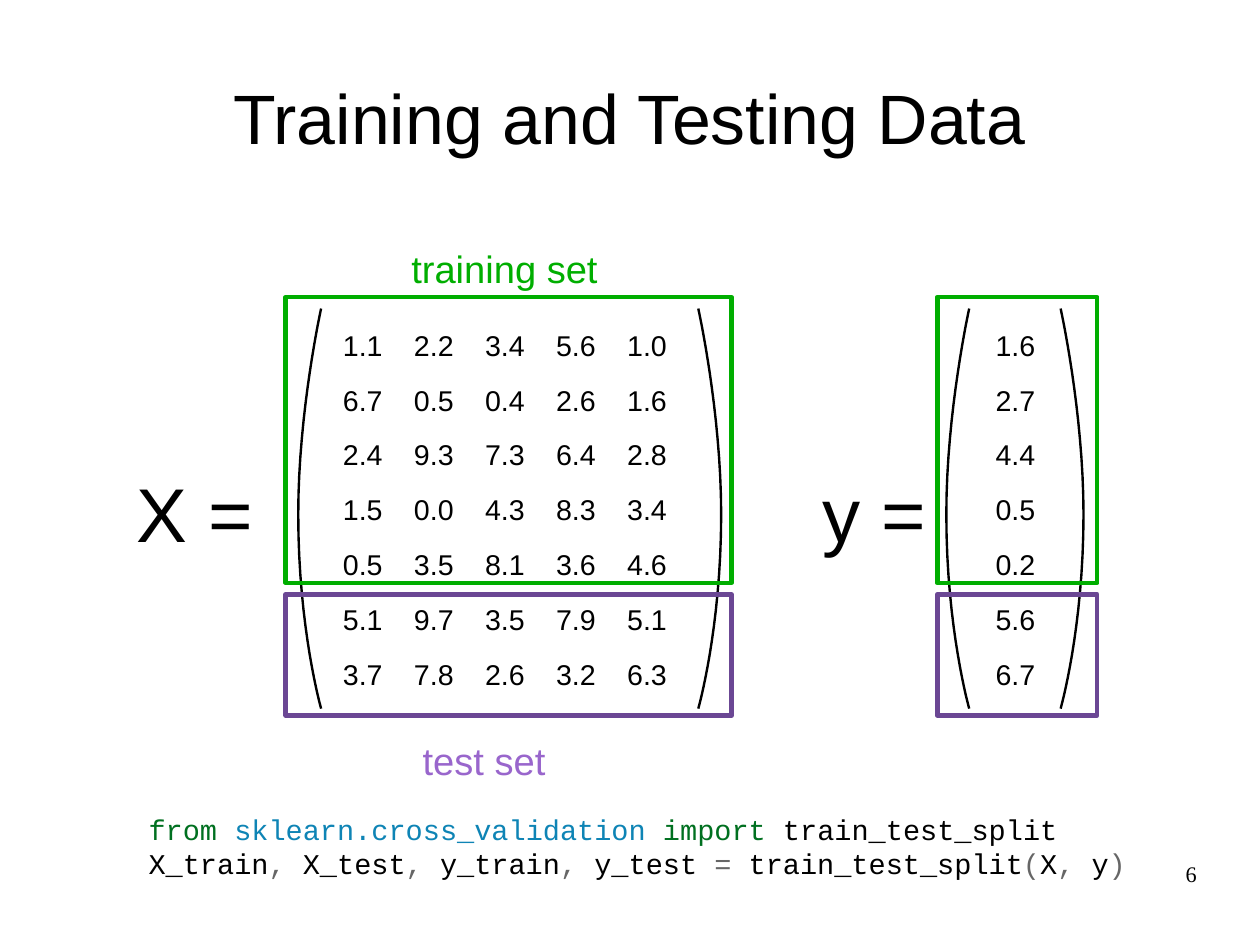
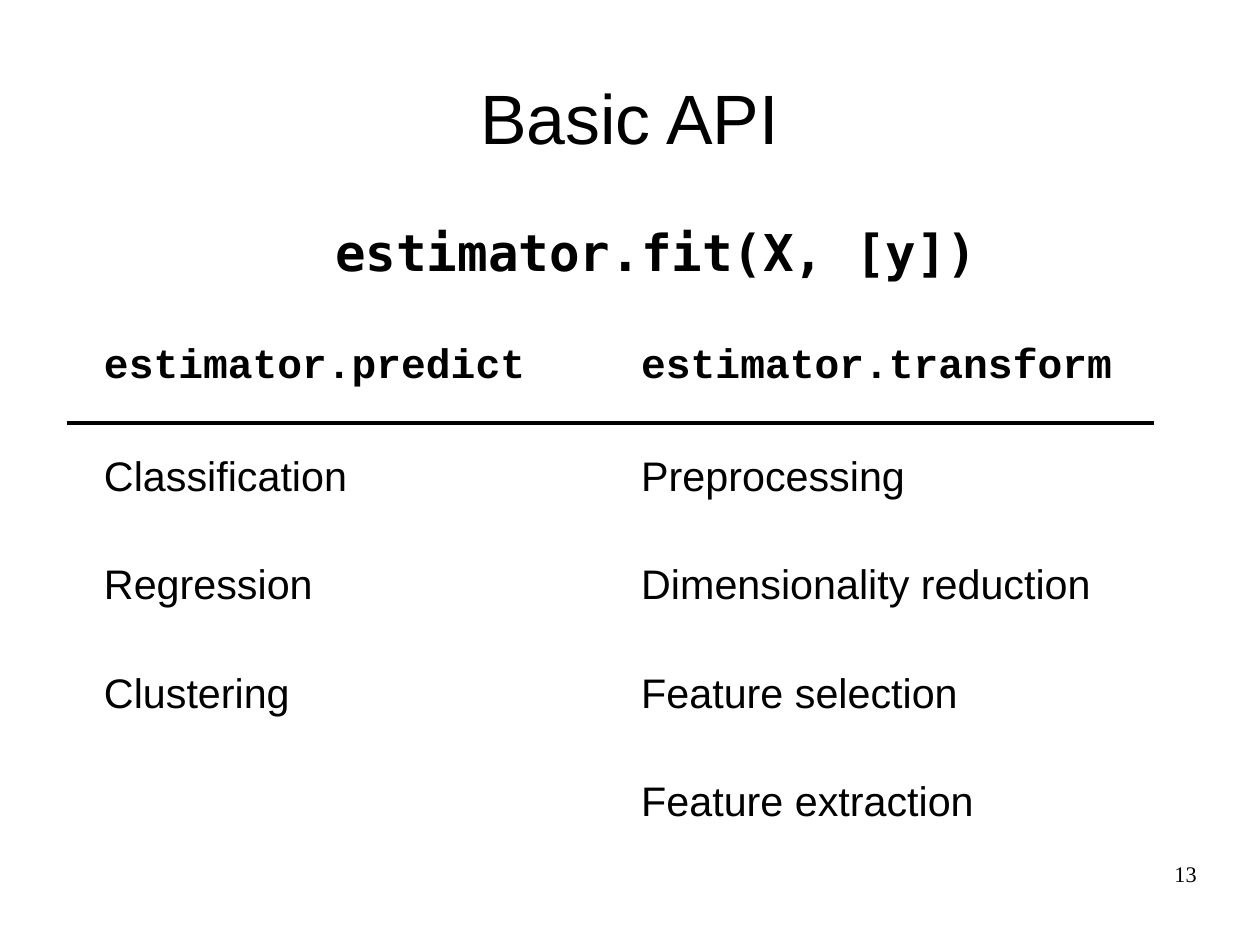
from lxml import etree
from pptx import Presentation
from pptx.dml.color import RGBColor
from pptx.enum.shapes import MSO_CONNECTOR, MSO_SHAPE
from pptx.enum.text import MSO_ANCHOR, PP_ALIGN
from pptx.oxml.ns import qn
from pptx.util import Inches, Pt

BLACK = RGBColor(0x00, 0x00, 0x00)
WHITE = RGBColor(0xFF, 0xFF, 0xFF)
TRAIN_GREEN = RGBColor(0x00, 0xAE, 0x00)
TEST_PURPLE = RGBColor(0x6B, 0x47, 0x94)
TEST_LABEL = RGBColor(0x99, 0x66, 0xCC)
KEYWORD = RGBColor(0x00, 0x70, 0x20)
MODULE = RGBColor(0x0E, 0x84, 0xB5)
OPERATOR = RGBColor(0x66, 0x66, 0x66)

SANS, MONO, WIDE_MONO, SERIF = "Arial", "Courier New", "DejaVu Sans Mono", "Times New Roman"
CM_PER_INCH = 2.54
PAGE_CM = (28, 21)
PADDING = (0.1, 0.05)
FRAME_WIDTH = 2.89

X_ROWS = [
    ("1.1", "2.2", "3.4", "5.6", "1.0"),
    ("6.7", "0.5", "0.4", "2.6", "1.6"),
    ("2.4", "9.3", "7.3", "6.4", "2.8"),
    ("1.5", "0.0", "4.3", "8.3", "3.4"),
    ("0.5", "3.5", "8.1", "3.6", "4.6"),
    ("5.1", "9.7", "3.5", "7.9", "5.1"),
    ("3.7", "7.8", "2.6", "3.2", "6.3"),
]
Y_ROWS = [("1.6",), ("2.7",), ("4.4",), ("0.5",), ("0.2",), ("5.6",), ("6.7",)]

MATRICES = [
    {"label": "X =", "label_at": (1.1, 4.03, 1.4, 0.85), "rows": X_ROWS,
     "table_left": 2.9, "table_width": 3.11,
     "parens": ((2.81, -0.2), (6.11, 0.2)), "frame": (2.5, 3.9)},
    {"label": "y =", "label_at": (7.1, 4.03, 1.29, 0.85), "rows": Y_ROWS,
     "table_left": 8.61, "table_width": 0.62,
     "parens": ((8.48, -0.2), (9.28, 0.2)), "frame": (8.2, 1.4)},
]
SETS = [
    ("training set", (3.5, 2.1, 2.3, 0.47), TRAIN_GREEN, TRAIN_GREEN, 2.6, 2.5),
    ("test set", (3.6, 6.4, 2.3, 0.47), TEST_LABEL, TEST_PURPLE, 5.2, 1.06),
]
CODE = [
    [("from ", KEYWORD), ("sklearn.cross_validation ", MODULE), ("import", KEYWORD),
     (" train_test_split", BLACK)],
    [("X_train", BLACK), (",", OPERATOR), (" X_test", BLACK), (",", OPERATOR),
     (" y_train", BLACK), (",", OPERATOR), (" y_test ", BLACK), ("=", OPERATOR),
     (" train_test_split", BLACK), ("(", OPERATOR), ("X", BLACK), (",", OPERATOR),
     (" y", BLACK), (")", OPERATOR)],
]

API_ROWS = [
    ("estimator.predict", "estimator.transform"),
    ("Classification", "Preprocessing"),
    ("Regression", "Dimensionality reduction"),
    ("Clustering", "Feature selection"),
    ("", "Feature extraction"),
]


def add_span(para, text, size, font=SANS, color=BLACK, bold=False):
    span = para.add_run()
    span.text = text
    span.font.size = Pt(size)
    span.font.name = font
    span.font.bold = bold
    span.font.color.rgb = color


def add_text(page, at, lines, size, font=SANS, bold=False, align=PP_ALIGN.LEFT,
             anchor=MSO_ANCHOR.TOP, padding=(0, 0), wrap=True):
    frame = page.shapes.add_textbox(*map(Inches, at)).text_frame
    frame.word_wrap = wrap
    frame.vertical_anchor = anchor
    frame.margin_left = frame.margin_right = Inches(padding[0])
    frame.margin_top = frame.margin_bottom = Inches(padding[1])
    for index, spans in enumerate(lines):
        para = frame.add_paragraph() if index else frame.paragraphs[0]
        para.alignment = align
        for text, color in spans:
            add_span(para, text, size, font, color, bold)


def add_page(deck, title, number):
    page = deck.slides.add_slide(deck.slide_layouts[6])
    add_text(page, (0.55, 0.33, 9.92, 1.38), [[(title, BLACK)]], 44,
             align=PP_ALIGN.CENTER, anchor=MSO_ANCHOR.MIDDLE)
    add_text(page, (7.9, 7.53, 2.57, 0.57), [[(number, BLACK)]], 14, SERIF,
             align=PP_ALIGN.RIGHT)
    return page


def add_grid(page, at, rows, size, header_font=None):
    table = page.shapes.add_table(len(rows), len(rows[0]), *map(Inches, at)).table
    table.first_row = bool(header_font)
    table.horz_banding = False
    for r, row in enumerate(rows):
        is_header = bool(header_font) and r == 0
        for c, text in enumerate(row):
            cell = table.cell(r, c)
            cell.fill.solid()
            cell.fill.fore_color.rgb = WHITE
            if text:
                add_span(cell.text_frame.paragraphs[0], text, size,
                         header_font if is_header else SANS, bold=is_header)
    return table


def curve_points(start, control_1, control_2, end, steps=16):
    for step in range(1, steps + 1):
        t = step / steps
        weights = ((1 - t) ** 3, 3 * t * (1 - t) ** 2, 3 * t ** 2 * (1 - t), t ** 3)
        corners = (start, control_1, control_2, end)
        yield tuple(Inches(sum(w * corner[axis] for w, corner in zip(weights, corners)))
                    for axis in (0, 1))


def add_paren(page, x, bulge):
    top, middle, bottom = (x, 2.7), (x + bulge, 4.5), (x, 6.2)
    points = [*curve_points(top, top, (x + bulge, 3.6), middle),
              *curve_points(middle, (x + bulge, 5.5), bottom, bottom)]
    builder = page.shapes.build_freeform(*map(Inches, top))
    builder.add_line_segments(points, close=False)
    paren = builder.convert_to_shape()
    paren.shadow.inherit = False
    paren.fill.background()
    paren.line.color.rgb = BLACK
    paren.line.width = Pt(1.5)


def add_frame(page, left, top, width, height, color):
    box = page.shapes.add_shape(MSO_SHAPE.RECTANGLE, *map(Inches, (left, top, width, height)))
    box.shadow.inherit = False
    box.fill.background()
    box.line.color.rgb = color
    box.line.width = Pt(FRAME_WIDTH)


def add_rule(page, left, right, y):
    rule = page.shapes.add_connector(
        MSO_CONNECTOR.STRAIGHT, Inches(left), Inches(y), Inches(right), Inches(y))
    rule.line.color.rgb = BLACK
    rule.line.width = Pt(FRAME_WIDTH)
    etree.SubElement(rule._element.spPr, qn("a:effectLst"))


def build_data_page(deck):
    page = add_page(deck, "Training and Testing Data", "6")
    for matrix in MATRICES:
        for x, bulge in matrix["parens"]:
            add_paren(page, x, bulge)
        add_text(page, matrix["label_at"], [[(matrix["label"], BLACK)]], 48,
                 padding=PADDING, wrap=False)
        add_grid(page, (matrix["table_left"], 2.84, matrix["table_width"], 3.36),
                 matrix["rows"], 18)
    for name, label_at, label_color, frame_color, top, height in SETS:
        add_text(page, label_at, [[(name, label_color)]], 24, padding=PADDING)
        for matrix in MATRICES:
            left, width = matrix["frame"]
            add_frame(page, left, top, width, height, frame_color)
    add_text(page, (1.3, 7.1, 8.8, 0.8), CODE, 18, MONO)


def build_api_page(deck):
    page = add_page(deck, "Basic API", "13")
    add_text(page, (1.02, 1.93, 9.45, 0.6), [[("estimator.fit(X, [y])", BLACK)]], 32,
             WIDE_MONO, bold=True, align=PP_ALIGN.CENTER)
    table = add_grid(page, (0.81, 2.96, 9.4, 4.75), API_ROWS, 26, header_font=MONO)
    table.rows[0].height = Inches(0.96)
    add_rule(page, 0.59, 10.1, 3.7)


def main():
    deck = Presentation()
    deck.slide_width, deck.slide_height = (Inches(side / CM_PER_INCH) for side in PAGE_CM)
    deck.element.sldSz.attrib.pop("type", None)
    build_data_page(deck)
    build_api_page(deck)
    deck.save("out.pptx")


if __name__ == "__main__":
    main()
